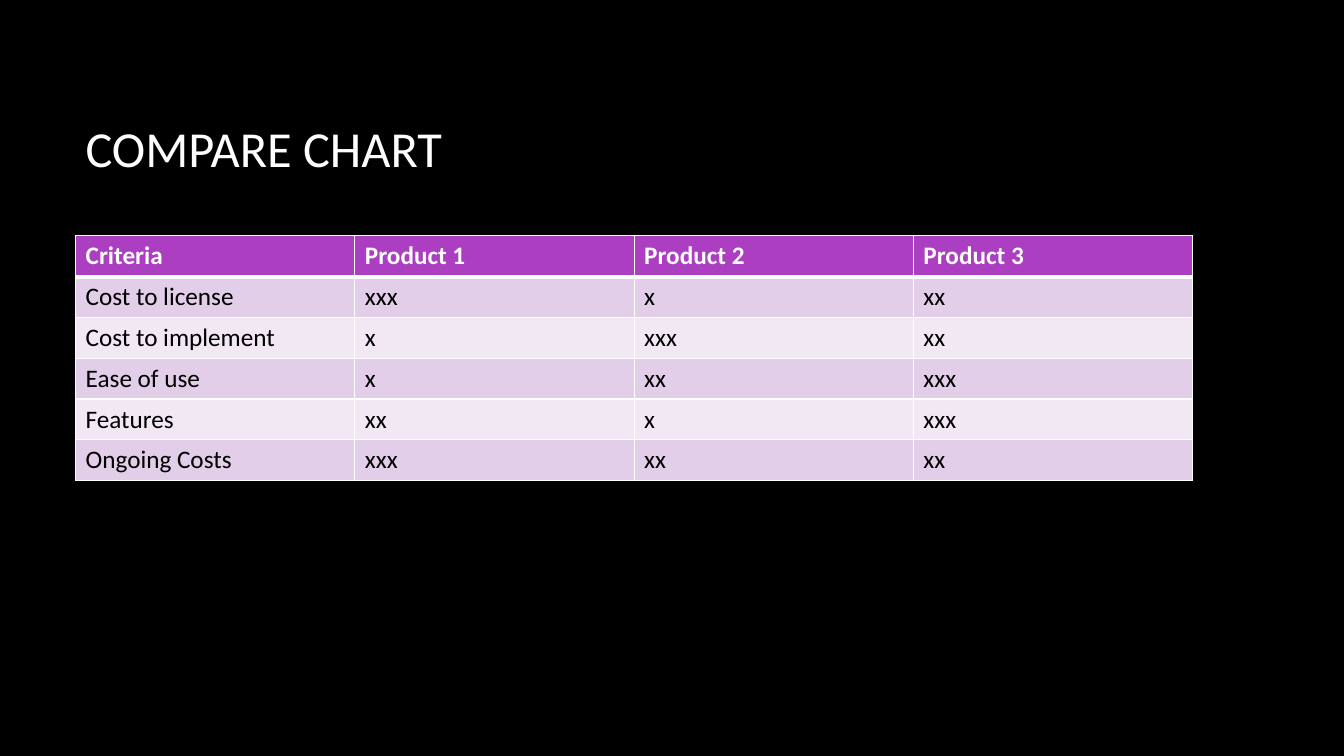
from lxml import etree
from pptx import Presentation
from pptx.dml.color import RGBColor
from pptx.enum import text
from pptx.oxml import ns
from pptx.util import Inches, Pt

BLACK = RGBColor(0x00, 0x00, 0x00)
WHITE = RGBColor(0xFF, 0xFF, 0xFF)
PURPLE = RGBColor(0xAC, 0x3E, 0xC1)
LILAC = RGBColor(0xE3, 0xCE, 0xE9)
PALE_LILAC = RGBColor(0xF1, 0xE8, 0xF4)

LEFT, WIDTH = 0.75, 11.08
ROW_HEIGHT = 0.405

CRITERIA = [
    ("Criteria", "Product 1", "Product 2", "Product 3"),
    ("Cost to license", "xxx", "x", "xx"),
    ("Cost to implement", "x", "xxx", "xx"),
    ("Ease of use", "x", "xx", "xxx"),
    ("Features", "xx", "x", "xxx"),
    ("Ongoing Costs", "xxx", "xx", "xx"),
]


def write(tf, words, size=18, color=BLACK, bold=False):
    r = tf.paragraphs[0].add_run()
    r.text = words
    r.font.name = "Calibri"
    r.font.size = Pt(size)
    r.font.bold = bold
    r.font.color.rgb = color


def add_title(s, words):
    sp = s.shapes.add_textbox(Inches(LEFT), Inches(0.67), Inches(WIDTH), Inches(1.59))
    tf = sp.text_frame
    tf.word_wrap = True
    tf.vertical_anchor = text.MSO_ANCHOR.MIDDLE
    write(tf, words, size=36, color=WHITE)


def set_borders(cell, top=1, bottom=1):
    tc_pr = cell._tc.get_or_add_tcPr()
    for side, width in (("L", 1), ("R", 1), ("T", top), ("B", bottom)):
        ln = etree.SubElement(tc_pr, ns.qn(f"a:ln{side}"), w=str(Pt(width)))
        fill = etree.SubElement(ln, ns.qn("a:solidFill"))
        etree.SubElement(fill, ns.qn("a:srgbClr"), val=str(WHITE))


def add_criteria_table(s, rows):
    table = s.shapes.add_table(
        len(rows), len(rows[0]), Inches(LEFT), Inches(2.34),
        Inches(WIDTH), Inches(ROW_HEIGHT * len(rows)),
    ).table
    for i, row in enumerate(rows):
        header = i == 0
        background = PURPLE if header else (PALE_LILAC, LILAC)[i % 2]
        for j, words in enumerate(row):
            cell = table.cell(i, j)
            set_borders(cell, top=3 if i == 1 else 1, bottom=3 if header else 1)
            cell.fill.solid()
            cell.fill.fore_color.rgb = background
            write(cell.text_frame, words, color=WHITE if header else BLACK, bold=header)


def main():
    prs = Presentation()
    prs.slide_width, prs.slide_height = Inches(13.33), Inches(7.5)
    s = prs.slides.add_slide(prs.slide_layouts[6])
    s.background.fill.solid()
    s.background.fill.fore_color.rgb = BLACK
    add_title(s, "COMPARE CHART")
    add_criteria_table(s, CRITERIA)
    prs.save("out.pptx")


if __name__ == "__main__":
    main()
